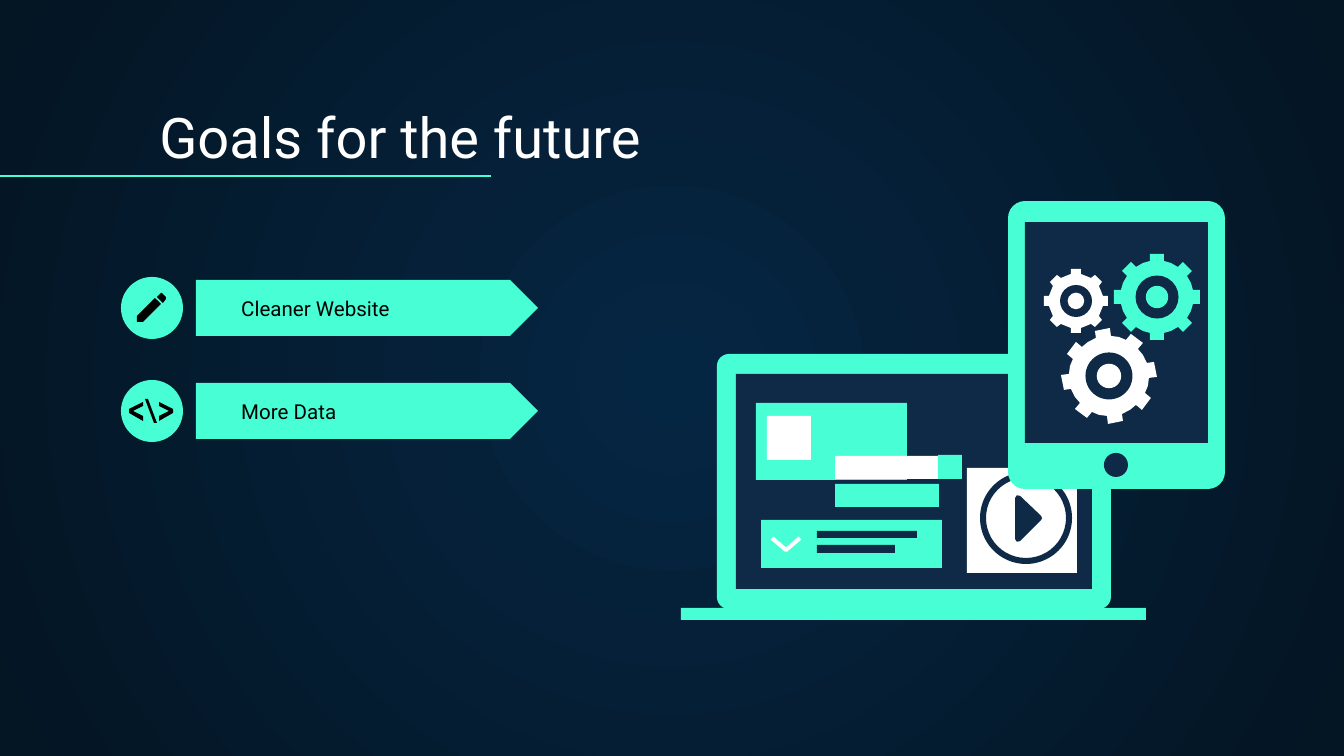
from math import cos, pi, sin, sqrt

from lxml import etree
from pptx import Presentation
from pptx.dml.color import RGBColor
from pptx.enum.shapes import MSO_CONNECTOR, MSO_SHAPE
from pptx.enum.text import MSO_ANCHOR, MSO_AUTO_SIZE, PP_ALIGN
from pptx.oxml import parse_xml
from pptx.oxml.ns import nsdecls, qn
from pptx.util import Pt

PX = 914400 / 134.4
MINT = RGBColor(0x48, 0xFF, 0xD5)
NAVY = RGBColor(0x0E, 0x2A, 0x47)
WHITE = RGBColor(0xFF, 0xFF, 0xFF)
BLACK = RGBColor(0x00, 0x00, 0x00)
GLOW = RGBColor(0x05, 0x26, 0x43)
NIGHT = RGBColor(0x04, 0x15, 0x23)
FONT = "Roboto"
RECT, ROUND, OVAL = MSO_SHAPE.RECTANGLE, MSO_SHAPE.ROUNDED_RECTANGLE, MSO_SHAPE.OVAL

TITLE = "Goals for the future"
GOALS = ["Cleaner Website", "More Data"]
GOAL_TOP, GOAL_STEP = 280, 103

PENCIL = [
    [(155, 298), (137, 316), (137, 322), (143, 322), (161, 304)],
    [(161, 293), (157, 297), (163, 303), (166, 299), (166, 297), (162, 293)],
]
LEFT_BRACKET = [(143, 421), (129, 413), (129, 409), (143, 402),
                (143, 406), (133, 411), (143, 416)]
RIGHT_BRACKET = [(302 - x, y) for x, y in LEFT_BRACKET]
BACKSLASH = [(145, 399), (148, 399), (157, 423), (154, 423)]
ICONS = PENCIL + [LEFT_BRACKET, BACKSLASH, RIGHT_BRACKET]

LAPTOP = [
    (ROUND, MINT, (717, 354, 394, 255), 12 / 255),
    (RECT, NAVY, (736, 374, 356, 215), None),
    (RECT, MINT, (681, 608, 465, 12), None),
    (RECT, MINT, (756, 403, 151, 77), None),
    (RECT, WHITE, (767, 416, 44, 44), None),
    (RECT, MINT, (761, 520, 181, 48), None),
    (RECT, NAVY, (817, 531, 100, 7), None),
    (RECT, NAVY, (817, 545, 78, 8), None),
    (RECT, MINT, (835, 484, 104, 23), None),
    (RECT, WHITE, (835, 456, 104, 23), None),
    (RECT, MINT, (938, 455, 24, 24), None),
    (RECT, WHITE, (967, 468, 110, 105), None),
    (MSO_SHAPE.DONUT, NAVY, (980, 472, 92, 92), 6 / 92),
]
CHEVRON = [(772, 538), (786, 550), (800, 538)]
PLAY = [(1018, 498), (1018, 539), (1039, 518)]
TABLET = [
    (ROUND, MINT, (1008, 201, 217, 288), 17 / 217),
    (RECT, NAVY, (1025, 222, 183, 221), None),
    (OVAL, NAVY, (1104, 453, 24, 24), None),
]
GEARS = [
    (MINT, (1157, 297), 43, 0),
    (WHITE, (1076, 301), 32, 0),
    (WHITE, (1109, 376), 47, -8.4),
]


def px(*lengths):
    return [round(length * PX) for length in lengths]


def paint(shape, color):
    shape.shadow.inherit = False
    shape.fill.solid()
    shape.fill.fore_color.rgb = color
    shape.line.fill.background()
    return shape


def add_preset(kind, color, box, adjustment=None):
    shape = paint(slide.shapes.add_shape(kind, *px(*box)), color)
    if adjustment is not None:
        shape.adjustments[0] = adjustment
    return shape


def add_outline(points, color, close=True):
    builder = slide.shapes.build_freeform(*points[0], scale=PX)
    builder.add_line_segments(points[1:], close=close)
    return paint(builder.convert_to_shape(), color)


def stroke(shape, color, width):
    shape.line.color.rgb = color
    shape.line.width = round(width * PX)


def add_gear(color, center, radius, turn):
    body, half_tooth = 0.85 * radius, 0.16 * radius
    foot = sqrt(body ** 2 - half_tooth ** 2)
    profile = [(-half_tooth, foot), (-half_tooth, radius), (half_tooth, radius),
               (half_tooth, foot), (body * sin(pi / 8), body * cos(pi / 8))]
    points = []
    for tooth in range(8):
        angle = tooth * pi / 4 + turn * pi / 180
        points += [(center[0] + x * cos(angle) + y * sin(angle),
                    center[1] + x * sin(angle) - y * cos(angle)) for x, y in profile]
    add_outline(points, color)
    for share, fill in ((0.5, NAVY), (0.26, color)):
        hub = share * radius
        add_preset(OVAL, fill, (center[0] - hub, center[1] - hub, 2 * hub, 2 * hub))


def write(shape, text, size, color):
    frame = shape.text_frame
    frame.text = text
    frame.word_wrap = True
    frame.auto_size = MSO_AUTO_SIZE.NONE
    frame.vertical_anchor = MSO_ANCHOR.BOTTOM
    frame.margin_left, frame.margin_right, frame.margin_top, frame.margin_bottom = px(*[13.44] * 4)
    paragraph = frame.paragraphs[0]
    paragraph.alignment = PP_ALIGN.LEFT
    paragraph.font.name, paragraph.font.size = FONT, Pt(size)
    paragraph.font.color.rgb = color


presentation = Presentation()
presentation.slide_width, presentation.slide_height = px(1344, 756)
slide = presentation.slides.add_slide(presentation.slide_layouts[5])

background = slide.background.fill
background.gradient()
for stop, color, position in zip(background.gradient_stops, (GLOW, NIGHT), (0, 1)):
    stop.color.rgb, stop.position = color, position
linear = next(slide.element.iter(qn("a:lin")))
linear.getparent().replace(linear, parse_xml(
    f'<a:path {nsdecls("a")} path="circle">'
    '<a:fillToRect l="50000" t="50000" r="50000" b="50000"/></a:path>'))

title = slide.shapes.title
title.left, title.top, title.width, title.height = px(146, 94, 1152, 89)
write(title, TITLE, 30, WHITE)

underline = slide.shapes.add_connector(MSO_CONNECTOR.STRAIGHT, *px(0, 176, 491, 176))
underline.line.color.rgb, underline.line.width = MINT, Pt(0.75)
etree.SubElement(underline.element.spPr, qn("a:effectLst"))

for index, goal in enumerate(GOALS):
    top = GOAL_TOP + index * GOAL_STEP
    add_preset(MSO_SHAPE.PENTAGON, MINT, (196, top, 342, 56), 0.5)
    add_preset(OVAL, MINT, (121, top - 3, 62, 62))
    label = slide.shapes.add_textbox(*px(228, top + 26, 305, 28))
    write(label, goal, 11, BLACK)

for outline in ICONS:
    add_outline(outline, BLACK)

for part in LAPTOP:
    add_preset(*part)
chevron = add_outline(CHEVRON, WHITE, close=False)
chevron.fill.background()
stroke(chevron, WHITE, 4)
stroke(add_outline(PLAY, NAVY), NAVY, 6)

for part in TABLET:
    add_preset(*part)
for gear in GEARS:
    add_gear(*gear)

presentation.save("out.pptx")
